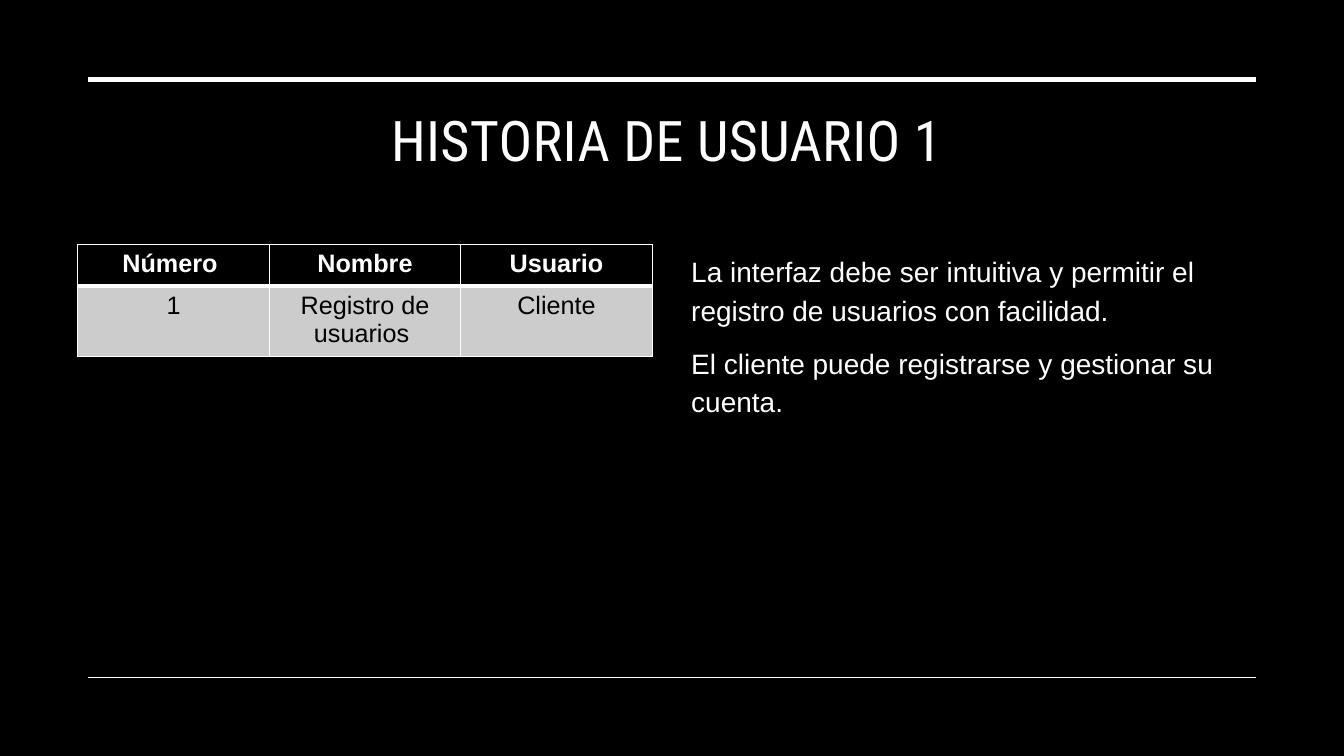
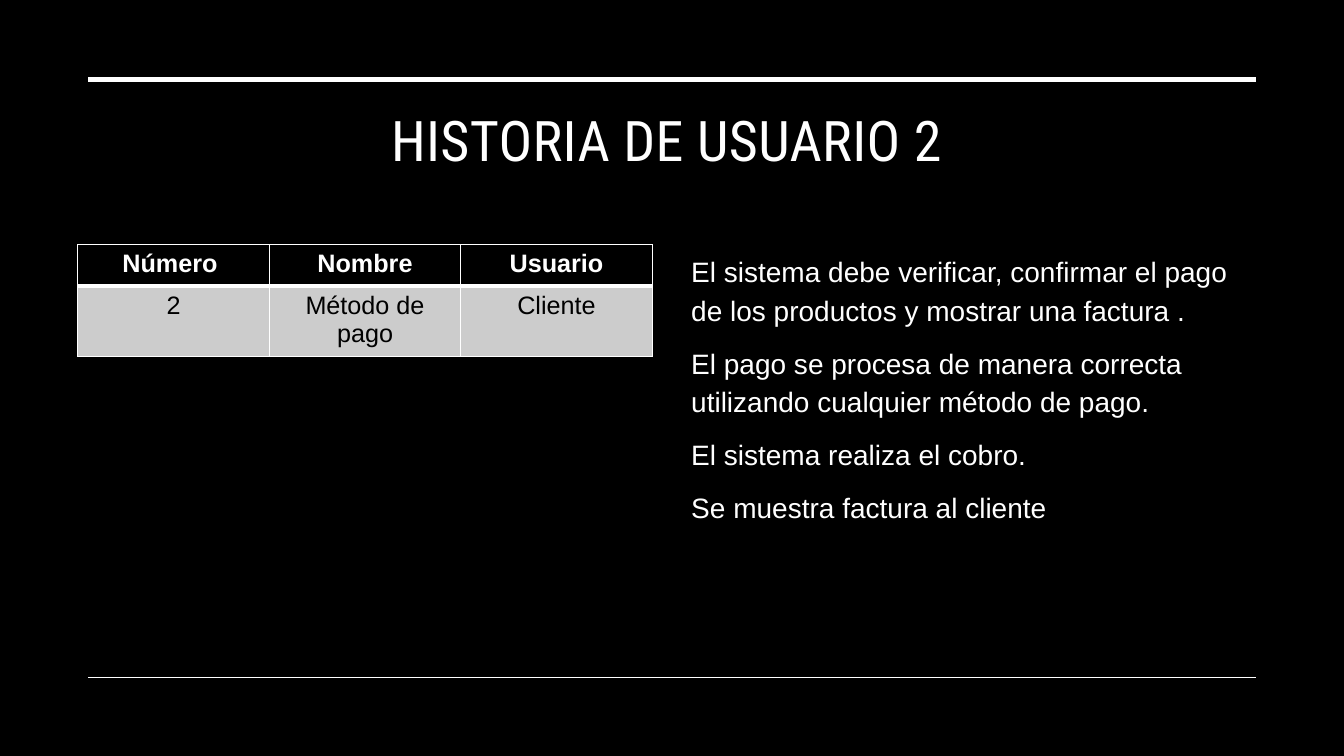
from dataclasses import dataclass
from typing import Any

from lxml.etree import SubElement
from pptx import Presentation
from pptx.dml.color import RGBColor
from pptx.enum.shapes import MSO_CONNECTOR as Connector
from pptx.enum.text import MSO_ANCHOR as Anchor, PP_ALIGN as Align
from pptx.oxml.ns import qn
from pptx.slide import Slide
from pptx.util import Cm, Length, Pt

# Shared look
BLACK = RGBColor(0x00, 0x00, 0x00)
WHITE = RGBColor(0xFF, 0xFF, 0xFF)
GRAY = RGBColor(0xCC, 0xCC, 0xCC)

TITLE_FONT = {"name": "Roboto Condensed", "size": Pt(40)}
CRITERIA_FONT = {"name": "Arial", "size": Pt(20)}
CELL_FONT = {"name": "Arial", "size": Pt(18)}
TITLE_TRACKING = "30"  # hundredths of a point

LEFT, CONTENT_WIDTH = Cm(1.96), Cm(29.69)
CONTENT_TOP, COLUMN_WIDTH = Cm(6.17), Cm(14.48)
CRITERIA_LEFT = LEFT + CONTENT_WIDTH - COLUMN_WIDTH
ROW_HEIGHT = Cm(1.04)
RULE_LEFT, RULE_RIGHT = Cm(2.23), Cm(31.64)

HEADINGS = ("Número ", "Nombre", "Usuario")


@dataclass(frozen=True)
class Rule:
    y: Length
    weight: Length


@dataclass(frozen=True)
class Story:
    number: int
    name: str
    user: str
    criteria: tuple[str, ...]


@dataclass(frozen=True)
class RowStyle:
    fill: RGBColor
    color: RGBColor
    bold: bool
    top: Length
    bottom: Length


RULES = (Rule(Cm(2), Pt(3.5)), Rule(Cm(17.07), Pt(1)))
HEADER = RowStyle(BLACK, WHITE, True, Pt(1), Pt(3))
DETAIL = RowStyle(GRAY, BLACK, False, Pt(3), Pt(1))

STORIES = (
    Story(1, "Registro de usuarios ", "Cliente", (
        "La interfaz debe ser intuitiva y permitir el registro de usuarios con facilidad.",
        "El cliente puede registrarse y gestionar su cuenta.",
    )),
    Story(2, "Método de pago", "Cliente", (
        "El sistema debe verificar, confirmar el pago de los productos y mostrar una factura .",
        "El pago se procesa de manera correcta utilizando cualquier método de pago.",
        "El sistema realiza el cobro.",
        "Se muestra factura al cliente",
    )),
)


def write(paragraph: Any, text: str, font: dict[str, Any], color: RGBColor) -> Any:
    run = paragraph.add_run()
    run.text = text
    for attribute, value in font.items():
        setattr(run.font, attribute, value)
    run.font.color.rgb = color
    return run


def add_text_frame(slide: Slide, left: Length, top: Length,
                   width: Length, height: Length) -> Any:
    frame = slide.shapes.add_textbox(left, top, width, height).text_frame
    frame.word_wrap = True
    frame.vertical_anchor = Anchor.TOP
    return frame


def add_rule(slide: Slide, rule: Rule) -> None:
    line = slide.shapes.add_connector(
        Connector.STRAIGHT, RULE_LEFT, rule.y, RULE_RIGHT, rule.y)
    line.line.color.rgb = WHITE
    line.line.width = rule.weight
    SubElement(line._element.spPr, qn("a:effectLst"))


def add_title(slide: Slide, text: str) -> None:
    frame = add_text_frame(slide, LEFT, Cm(2.54), CONTENT_WIDTH, Cm(3.63))
    heading = frame.paragraphs[0]
    heading.alignment = Align.CENTER
    run = write(heading, text, TITLE_FONT, WHITE)
    run._r.get_or_add_rPr().set("spc", TITLE_TRACKING)


def style_cell(cell: Any, text: str, style: RowStyle) -> None:
    # Borders come before the fill in the cell properties
    properties = cell._tc.get_or_add_tcPr()
    borders = {"a:lnL": Pt(1), "a:lnR": Pt(1), "a:lnT": style.top, "a:lnB": style.bottom}
    for side, weight in borders.items():
        border = SubElement(properties, qn(side), w=str(int(weight)))
        paint = SubElement(border, qn("a:solidFill"))
        SubElement(paint, qn("a:srgbClr"), val=str(WHITE))
    cell.fill.solid()
    cell.fill.fore_color.rgb = style.fill

    paragraph = cell.text_frame.paragraphs[0]
    paragraph.alignment = Align.CENTER
    write(paragraph, text, CELL_FONT | {"bold": style.bold}, style.color)


def add_story_table(slide: Slide, story: Story) -> None:
    rows = ((HEADINGS, HEADER), ((str(story.number), story.name, story.user), DETAIL))
    table = slide.shapes.add_table(
        len(rows), len(HEADINGS), LEFT, CONTENT_TOP,
        COLUMN_WIDTH, ROW_HEIGHT * len(rows)).table
    for row, (texts, style) in zip(table.rows, rows):
        for cell, text in zip(row.cells, texts):
            style_cell(cell, text, style)


def add_criteria(slide: Slide, criteria: tuple[str, ...]) -> None:
    frame = add_text_frame(slide, CRITERIA_LEFT, CONTENT_TOP, COLUMN_WIDTH, Cm(10.39))
    for index, criterion in enumerate(criteria):
        paragraph = frame.add_paragraph() if index else frame.paragraphs[0]
        paragraph.line_spacing = 1.15
        paragraph.space_before = Pt(10)
        write(paragraph, criterion, CRITERIA_FONT, WHITE)


def main() -> None:
    deck = Presentation()
    deck.slide_width, deck.slide_height = Cm(33.87), Cm(19.05)
    backdrop = deck.slide_master.background.fill
    backdrop.solid()
    backdrop.fore_color.rgb = BLACK

    for story in STORIES:
        slide = deck.slides.add_slide(deck.slide_layouts[6])
        for rule in RULES:
            add_rule(slide, rule)
        add_title(slide, f"HISTORIA DE USUARIO {story.number}")
        add_story_table(slide, story)
        add_criteria(slide, story.criteria)

    deck.save("out.pptx")


if __name__ == "__main__":
    main()
